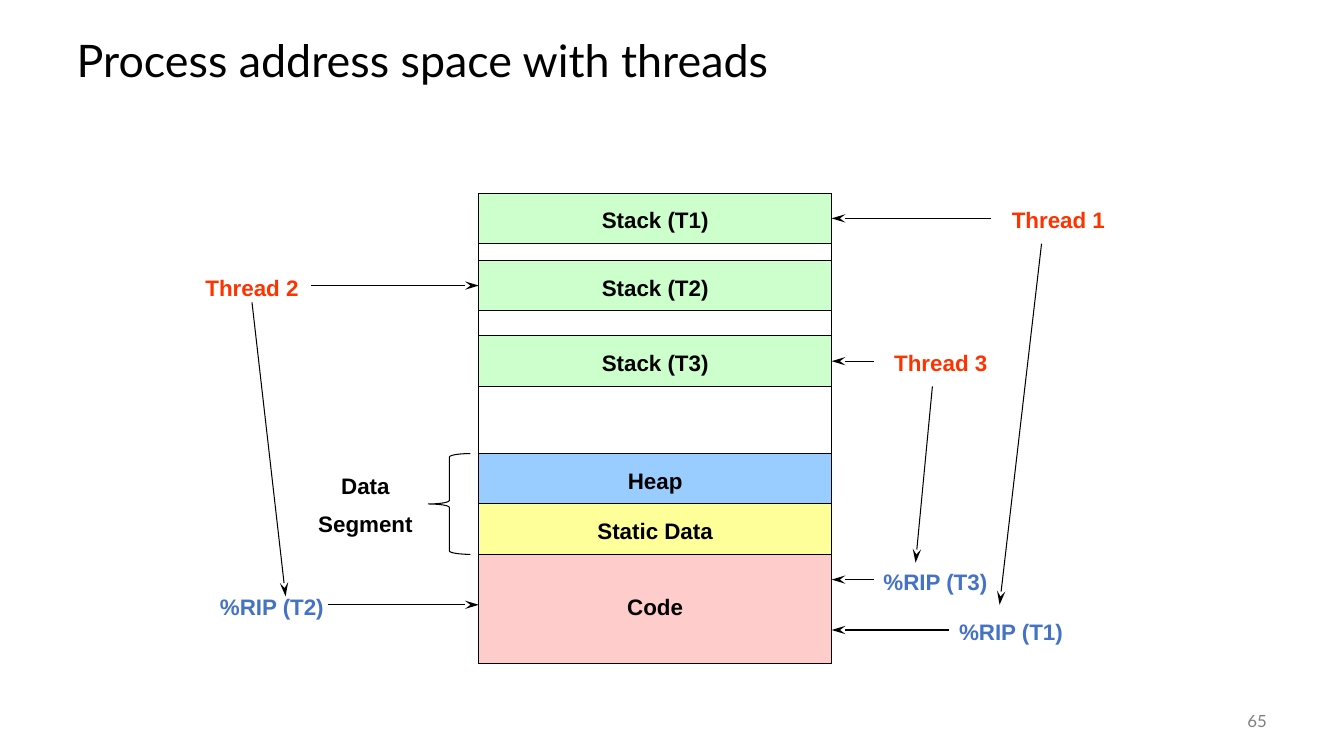
from dataclasses import dataclass

from lxml.etree import SubElement
from pptx import Presentation
from pptx.dml.color import RGBColor
from pptx.enum.shapes import MSO_CONNECTOR, MSO_SHAPE
from pptx.enum.text import MSO_ANCHOR, PP_ALIGN
from pptx.oxml.ns import qn
from pptx.util import Pt

BLACK, RED, BLUE = "000000", "FF3300", "4472C4"
GREEN, SKY, YELLOW, PINK = "CCFFCC", "99CCFF", "FFFF99", "FFCCCC"
MEMORY_LEFT, MEMORY_WIDTH = 342, 252
MEMORY_RIGHT = MEMORY_LEFT + MEMORY_WIDTH
LABEL_HEIGHT = 26.6


@dataclass
class Segment:
    name: str
    top: float
    color: str
    height: float = 36
    label_offset: float = 6


@dataclass
class Label:
    lines: list[str]
    left: float
    top: float
    width: float
    color: str
    align: PP_ALIGN = PP_ALIGN.CENTER
    height: float = LABEL_HEIGHT


@dataclass
class Arrow:
    start: tuple[float, float]
    end: tuple[float, float]


SEGMENTS = [
    Segment("Stack (T1)", 138, GREEN),
    Segment("Stack (T2)", 186, GREEN),
    Segment("Stack (T3)", 240, GREEN),
    Segment("Heap", 324, SKY),
    Segment("Static Data", 360, YELLOW),
    Segment("Code", 396, PINK, height=78, label_offset=24),
]

LABELS = [
    Label(["Thread 1"], 690, 144, 132, RED),
    Label(["Thread 2"], 114, 192, 132, RED),
    Label(["Thread 3"], 606, 246, 132, RED),
    Label(["%RIP (T1)"], 678, 438, 96, BLUE, PP_ALIGN.LEFT),
    Label(["%RIP (T2)"], 150, 420, 90, BLUE, PP_ALIGN.LEFT),
    Label(["%RIP (T3)"], 624, 402, 90, BLUE, PP_ALIGN.LEFT),
    Label(["Data", "Segment"], 216, 334, 90, BLACK, height=55.4),
]

ARROWS = [
    # Threads to their stacks
    Arrow((708, 156), (MEMORY_RIGHT, 156)),
    Arrow((222, 204), (MEMORY_LEFT, 204)),
    Arrow((624, 258), (MEMORY_RIGHT, 258)),
    # Threads to their instruction pointers
    Arrow((744, 174), (714, 432)),
    Arrow((180, 216), (204, 426)),
    Arrow((666, 276), (654, 402)),
    # Instruction pointers to the code
    Arrow((678, 450), (MEMORY_RIGHT, 450)),
    Arrow((234, 432), (MEMORY_LEFT, 432)),
    Arrow((624, 414), (MEMORY_RIGHT, 414)),
]


def rgb(color: str) -> RGBColor:
    return RGBColor.from_string(color)


def place(shape, left: float, top: float, width: float, height: float) -> None:
    bounds = {"left": left, "top": top, "width": width, "height": height}
    for name, value in bounds.items():
        setattr(shape, name, Pt(value))


def write(para, text: str, color: str, align=PP_ALIGN.LEFT, **font_format) -> None:
    para.alignment = align
    span = para.add_run()
    span.text = text
    span.font.color.rgb = rgb(color)
    for name, value in font_format.items():
        setattr(span.font, name, value)


def draw_outline(page, kind, left: float, top: float, width: float, height: float,
                 fill: str | None = None) -> None:
    shape = page.shapes.add_shape(kind, Pt(left), Pt(top), Pt(width), Pt(height))
    shape.shadow.inherit = False
    if fill:
        shape.fill.solid()
        shape.fill.fore_color.rgb = rgb(fill)
    else:
        shape.fill.background()
    shape.line.color.rgb = rgb(BLACK)
    shape.line.width = Pt(0.75)


def draw_label(page, label: Label) -> None:
    box = page.shapes.add_textbox(0, 0, 0, 0)
    place(box, label.left, label.top, label.width, label.height)
    frame = box.text_frame
    frame.word_wrap = True
    for index, line in enumerate(label.lines):
        para = frame.add_paragraph() if index else frame.paragraphs[0]
        if index:
            para.space_before = Pt(8)
        write(para, line, label.color, label.align, name="Arial", size=Pt(16), bold=True)


def draw_segment(page, segment: Segment) -> None:
    draw_outline(page, MSO_SHAPE.RECTANGLE, MEMORY_LEFT, segment.top,
                 MEMORY_WIDTH, segment.height, segment.color)
    draw_label(page, Label([segment.name], MEMORY_LEFT,
                           segment.top + segment.label_offset, MEMORY_WIDTH, BLACK))


def draw_arrow(page, arrow: Arrow) -> None:
    points = [Pt(value) for value in (*arrow.start, *arrow.end)]
    connector = page.shapes.add_connector(MSO_CONNECTOR.STRAIGHT, *points)
    connector.line.color.rgb = rgb(BLACK)
    connector.line.width = Pt(0.75)
    SubElement(connector.line._get_or_add_ln(), qn("a:tailEnd"), type="stealth",
               w="med", len="lg")
    SubElement(connector._element.spPr, qn("a:effectLst"))


def main() -> None:
    deck = Presentation()
    deck.slide_width, deck.slide_height = Pt(960), Pt(540)
    page = deck.slides.add_slide(deck.slide_layouts[5])

    # Title and page number
    title = page.shapes.title
    place(title, 47.5, 18, 864, 54)
    title.text_frame.vertical_anchor = MSO_ANCHOR.MIDDLE
    heading = title.text_frame.paragraphs[0]
    heading.line_spacing = 0.9
    write(heading, "Process address space with threads", BLACK, name="Lato", size=Pt(32))

    number = page.shapes.add_textbox(Pt(840), Pt(500.4), Pt(72), Pt(28.8))
    number.text_frame.word_wrap = True
    number.text_frame.vertical_anchor = MSO_ANCHOR.MIDDLE
    write(number.text_frame.paragraphs[0], "65", "808080", PP_ALIGN.RIGHT,
          name="Lato", size=Pt(12))

    # Address space
    draw_outline(page, MSO_SHAPE.RECTANGLE, MEMORY_LEFT, 138, MEMORY_WIDTH, 336)
    for segment in SEGMENTS:
        draw_segment(page, segment)
    draw_outline(page, MSO_SHAPE.LEFT_BRACE, 306, 324, 30, 72)

    # Threads and instruction pointers
    for label in LABELS:
        draw_label(page, label)
    for arrow in ARROWS:
        draw_arrow(page, arrow)

    deck.save("out.pptx")


if __name__ == "__main__":
    main()
